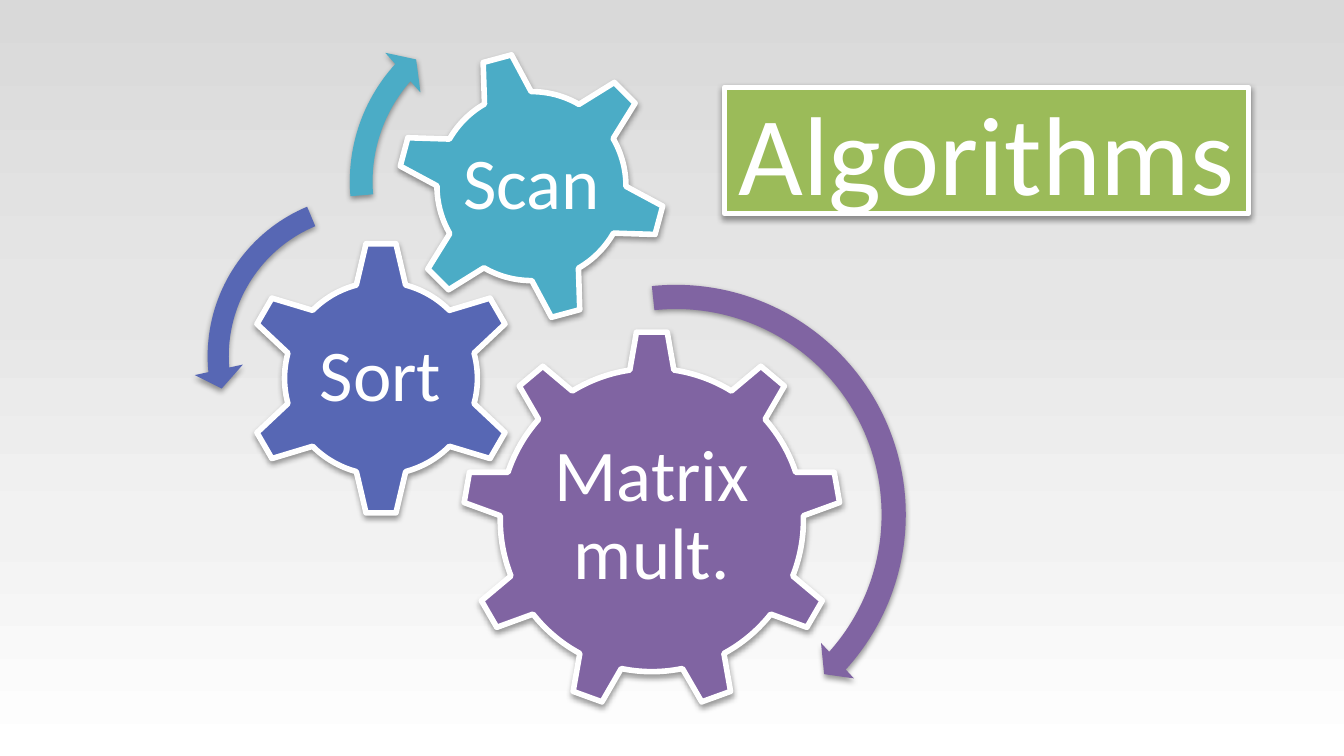
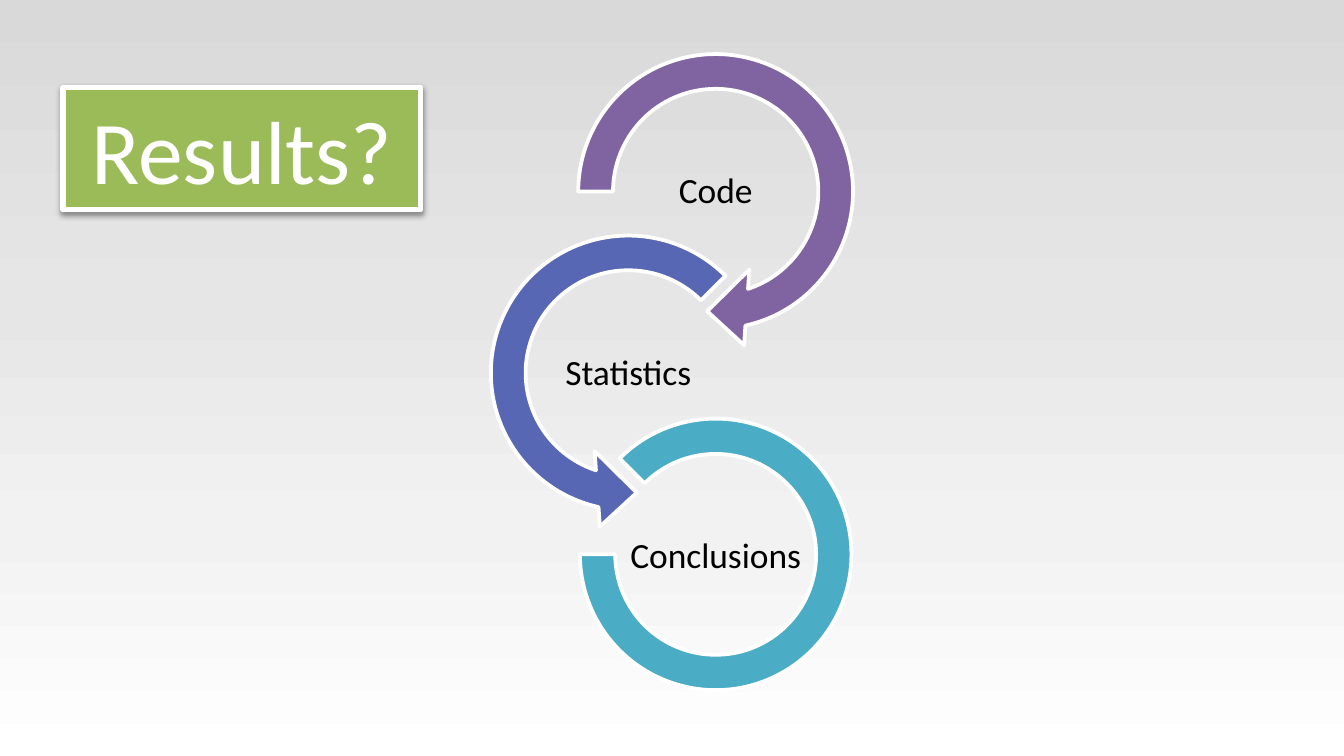
"""Two diagram slides: interlocking algorithm gears and a chain of result rings."""
from dataclasses import dataclass
from typing import Any, Optional

from lxml.etree import SubElement
from pptx import Presentation
from pptx.dml.color import RGBColor
from pptx.enum.shapes import MSO_SHAPE as Preset
from pptx.enum.text import MSO_ANCHOR as Anchor, MSO_AUTO_SIZE as AutoSize, PP_ALIGN as Align
from pptx.oxml.ns import qn
from pptx.util import Emu, Inches, Pt


@dataclass(frozen=True)
class Theme:
    """Colours, type sizes and line widths shared by the slides."""
    font: str = "Calibri"
    white: str = "FFFFFF"
    black: str = "000000"
    green: str = "9BBB59"
    purple: str = "8064A2"
    indigo: str = "5767B4"
    teal: str = "4BACC6"
    backdrop: tuple = ((0, "D9D9D9"), (40, "E6E6E6"), (70, "F2F2F2"), (100, "FFFFFF"))
    gear_size: int = 39
    ring_size: int = 19
    bold_line: int = 3
    thin_line: int = 2


@dataclass(frozen=True)
class Box:
    """An area around a centre, in grid columns and rows."""
    col: float
    row: float
    cols: float
    rows: float


@dataclass(frozen=True)
class Gear:
    """A labelled gear with the arrow that shows its turn."""
    text: str
    color: str
    preset: Preset
    body: Box
    label: Box
    turn_preset: Preset
    turn: Box
    turn_adjust: tuple
    rotation: float = 0


@dataclass(frozen=True)
class Ring:
    """One labelled link of the results chain."""
    text: str
    color: str
    preset: Preset
    col: float
    size: float
    adjust: tuple


THEME = Theme()
COLUMNS, ROWS = 100, 56.25
SLIDE_WIDTH, SLIDE_HEIGHT = Inches(10), Inches(5.625)

GEARS = (
    Gear("Matrix mult.", THEME.purple, Preset.GEAR_9,
         Box(48.5, 38.7, 28.2, 28.2), Box(48.5, 38.45, 16.8, 14.5),
         Preset.CIRCULAR_ARROW, Box(50.3, 38.3, 36, 36), (0.05, 2.99, 25.27, 158.39, 0.05)),
    Gear("Sort", THEME.indigo, Preset.GEAR_6,
         Box(28.35, 28.15, 20.5, 20.5), Box(28.3, 28.15, 10.2, 10.1),
         Preset.LEFT_CIRCULAR_ARROW, Box(27.5, 26.5, 26.2, 26.2), (0.06, 4.3, 104.89, 148.38, 0.07)),
    Gear("Scan", THEME.teal, Preset.GEAR_6,
         Box(39.55, 13.85, 20.1, 20.1), Box(39.55, 13.85, 11.3, 11.3),
         Preset.CIRCULAR_ARROW, Box(39, 13.5, 28.2, 28.2), (0.06, 3.94, 133.14, 105.08, 0.07),
         rotation=345),
)

RIGHT_COL, LEFT_COL = 53.25, 46.75
FIRST_ROW, RING_STEP, LABEL_STEP = 14.25, 13.5, 13.6
RINGS = (
    Ring("Code", THEME.purple, Preset.CIRCULAR_ARROW, RIGHT_COL, 23.5,
         (0.11, 11.42, 45, 108, 0.12)),
    Ring("Statistics", THEME.indigo, Preset.LEFT_CIRCULAR_ARROW, LEFT_COL, 23.5,
         (0.11, 11.42, 63, 189, 0.12)),
    Ring("Conclusions", THEME.teal, Preset.BLOCK_ARC, RIGHT_COL, 20.2,
         (135, 108, 0.13)),
)


def set_all(target: Any, values: dict) -> None:
    """Set each named attribute of the target."""
    for name, value in values.items():
        setattr(target, name, value)


def frame(box: Box) -> dict:
    """Turn a grid box into a position and size."""
    col_width, row_height = SLIDE_WIDTH / COLUMNS, SLIDE_HEIGHT / ROWS
    return {
        "left": Emu(round((box.col - box.cols / 2) * col_width)),
        "top": Emu(round((box.row - box.rows / 2) * row_height)),
        "width": Emu(round(box.cols * col_width)),
        "height": Emu(round(box.rows * row_height)),
    }


def color_node(parent: Any, color: str) -> Any:
    """Add an RGB colour element."""
    return SubElement(parent, qn("a:srgbClr"), val=color)


def paint(shape: Any, fill: str, line: Optional[int], shadow: bool) -> None:
    """Give a shape its fill, white outline and soft shadow."""
    shape.fill.solid()
    shape.fill.fore_color.rgb = RGBColor.from_string(fill)
    if line is None:
        shape.line.fill.background()
    else:
        shape.line.color.rgb = RGBColor.from_string(THEME.white)
        shape.line.width = Pt(line)
    shape.shadow.inherit = False
    if shadow:
        effects = shape._element.spPr.find(qn("a:effectLst"))
        outer = SubElement(effects, qn("a:outerShdw"), blurRad=str(Pt(3.1)),
                           dist=str(Pt(1.6)), dir="5400000", rotWithShape="0")
        SubElement(color_node(outer, THEME.black), qn("a:alpha"), val="38000")


def write(text_frame: Any, text: str, size: int, color: str) -> Any:
    """Write one centred paragraph and return it."""
    set_all(text_frame, {"word_wrap": True, "auto_size": AutoSize.NONE,
                         "vertical_anchor": Anchor.MIDDLE})
    paragraph = text_frame.paragraphs[0]
    paragraph.alignment = Align.CENTER
    run = paragraph.add_run()
    run.text = text
    set_all(run.font, {"name": THEME.font, "size": Pt(size)})
    run.font.color.rgb = RGBColor.from_string(color)
    return paragraph


def add_label(shapes: Any, box: Box, text: str, size: int, color: str, inset: float) -> None:
    """Add a tightly set caption over a diagram part."""
    text_frame = shapes.add_textbox(**frame(box)).text_frame
    set_all(text_frame, {f"margin_{side}": Inches(inset)
                         for side in ("left", "top", "right", "bottom")})
    paragraph = write(text_frame, text, size, color)
    paragraph.line_spacing = 0.9
    space_after = SubElement(paragraph._p.get_or_add_pPr(), qn("a:spcAft"))
    SubElement(space_after, qn("a:spcPct"), val="35000")


def add_part(shapes: Any, preset: Preset, box: Box, color: str, line: Optional[int],
             shadow: bool, adjust: tuple = (), rotation: float = 0) -> None:
    """Add one painted preset shape of a diagram."""
    part = shapes.add_shape(preset, **frame(box))
    part.rotation = rotation
    for index, value in enumerate(adjust):
        part.adjustments[index] = value
    paint(part, color, line, shadow)


def add_titled_slide(deck: Any, text: str, size: int, box: Box) -> Any:
    """Add a slide with a green title plate."""
    slide = deck.slides.add_slide(deck.slide_layouts[5])
    title = slide.shapes.title
    set_all(title, frame(box))
    paint(title, THEME.green, THEME.bold_line, shadow=True)
    write(title.text_frame, text, size, THEME.white)
    return slide


def set_backdrop(deck: Any) -> None:
    """Give the master a vertical grey gradient."""
    fill = deck.slide_master.background.fill
    fill.gradient()
    fill.gradient_angle = 270
    stops = deck.slide_master._element.find(".//" + qn("p:bgPr")).find(".//" + qn("a:gsLst"))
    for stop in list(stops):
        stops.remove(stop)
    for percent, color in THEME.backdrop:
        color_node(SubElement(stops, qn("a:gs"), pos=str(percent * 1000)), color)


def draw_gears(slide: Any) -> None:
    """Draw the gears with labels, then their turning arrows."""
    shapes = slide.shapes.add_group_shape().shapes
    for gear in GEARS:
        add_part(shapes, gear.preset, gear.body, gear.color, THEME.bold_line,
                 shadow=True, rotation=gear.rotation)
        add_label(shapes, gear.label, gear.text, THEME.gear_size, THEME.white, 0.05)
    for gear in GEARS:
        add_part(shapes, gear.turn_preset, gear.turn, gear.color, None,
                 shadow=True, adjust=gear.turn_adjust)


def draw_rings(slide: Any) -> None:
    """Draw the chain of rings from top to bottom."""
    shapes = slide.shapes.add_group_shape().shapes
    for index, ring in enumerate(RINGS):
        body = Box(ring.col, FIRST_ROW + index * RING_STEP, ring.size, ring.size)
        label = Box(ring.col, FIRST_ROW + index * LABEL_STEP, 13.1, 6.5)
        add_part(shapes, ring.preset, body, ring.color, THEME.thin_line,
                 shadow=False, adjust=ring.adjust)
        add_label(shapes, label, ring.text, THEME.ring_size, THEME.black, 0.01)


def main() -> None:
    """Build and save the deck."""
    deck = Presentation()
    set_all(deck, {"slide_width": SLIDE_WIDTH, "slide_height": SLIDE_HEIGHT})
    set_backdrop(deck)
    draw_gears(add_titled_slide(deck, "Algorithms", 60, Box(73.4, 11.2, 39, 9.4)))
    draw_rings(add_titled_slide(deck, "Results?", 48, Box(18, 11.05, 26.6, 9.1)))
    deck.save("out.pptx")


main()
